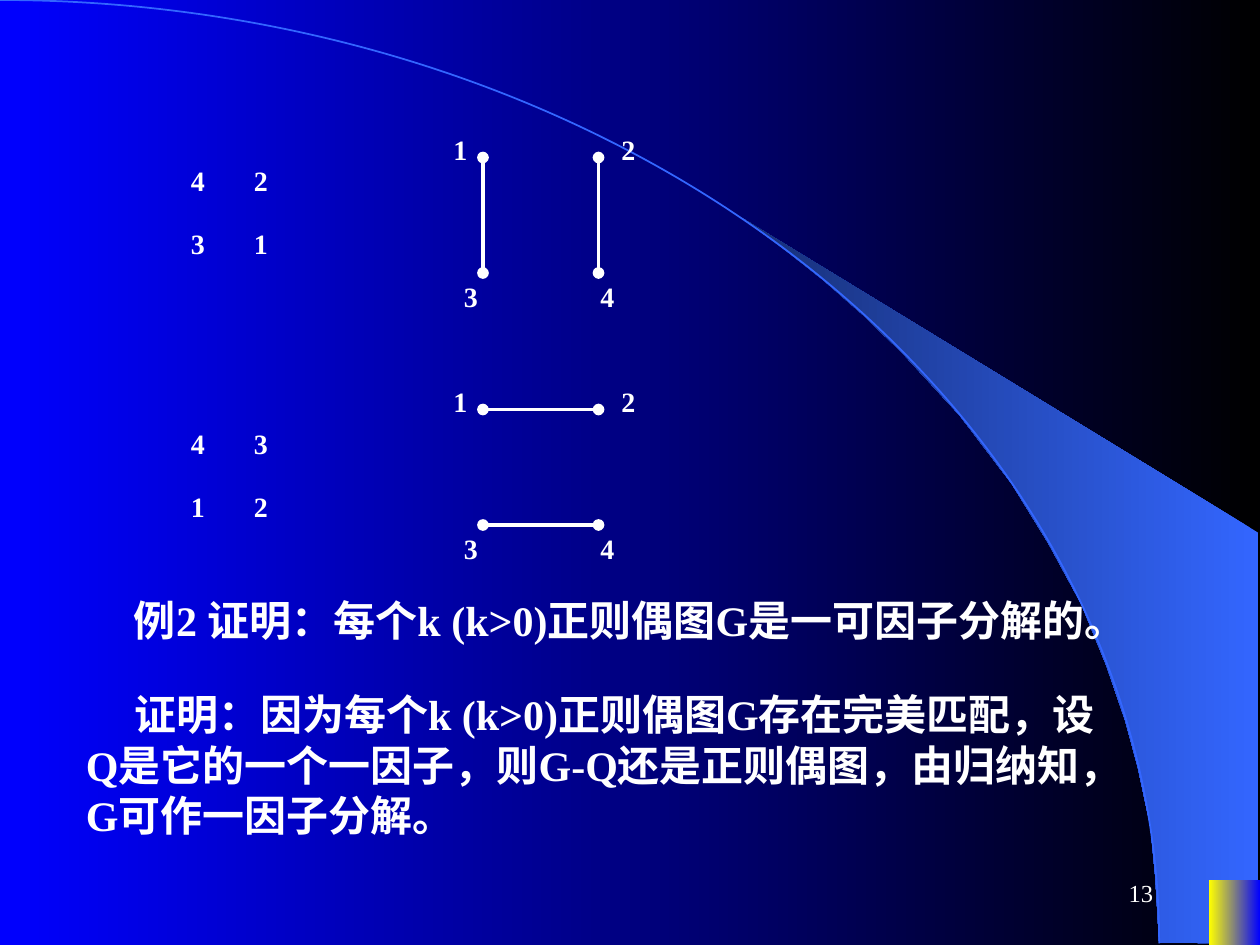
from dataclasses import dataclass

import pptx
import pptx.dml.color
import pptx.enum.shapes
import pptx.enum.text
import pptx.oxml
import pptx.oxml.ns
import pptx.util

Pt = pptx.util.Pt
Align = pptx.enum.text.PP_ALIGN
Shape = pptx.enum.shapes.MSO_SHAPE


@dataclass(frozen=True)
class Theme:
    font: str = "Times New Roman"
    white: str = "FFFFFF"
    black: str = "000000"
    blue: str = "0000FF"
    sky: str = "3366FF"
    navy: str = "172F75"
    yellow: str = "FFFF00"
    label_size: float = 16
    body_size: float = 24
    number_size: float = 14
    edge_width: float = 2.25
    arc_width: float = 1


@dataclass(frozen=True)
class Label:
    text: str
    left: float
    top: float


@dataclass(frozen=True)
class Edge:
    start: tuple[float, float]
    end: tuple[float, float]


@dataclass(frozen=True)
class Passage:
    text: str
    top: float
    width: float
    height: float


THEME = Theme()

# Graph corners and vertex names, relative to the top of a graph
LEFT, RIGHT, TOP, BOTTOM = 276, 342, 18, 84
VERTICES = [Label("1", 252, 0), Label("2", 348, 0), Label("3", 258, 84), Label("4", 336, 84)]
VERTICAL_EDGES = [Edge((x, TOP), (x, BOTTOM)) for x in (LEFT, RIGHT)]
HORIZONTAL_EDGES = [Edge((LEFT, y), (RIGHT, y)) for y in (TOP, BOTTOM)]

PASSAGES = [
    Passage("例2 证明：每个k (k>0)正则偶图G是一可因子分解的。", 336, 654, 36),
    Passage("证明：因为每个k (k>0)正则偶图G存在完美匹配，设Q是它的一个一因子，"
            "则G-Q还是正则偶图，由归纳知，G可作一因子分解。", 390, 600, 94),
]

# Outline of the light wedge beside the arc
WEDGE = [
    (662.4, 538.6), (719.3, 539.3), (719.3, 304.6), (424.1, 124.6), (449.3, 143.3),
    (470.2, 159.8), (493.2, 180), (515.5, 201.6), (548.6, 237.6), (578.2, 276.5),
    (599, 310.3), (617.8, 344.9), (632.2, 380.2), (643, 411.8), (650.2, 438.5),
    (657.4, 472.3), (660.2, 501.1),
]


def rgb(value: str) -> pptx.dml.color.RGBColor:
    return pptx.dml.color.RGBColor.from_string(value)


def fill_gradient(fill, right: str, left: str) -> None:
    fill.gradient()
    fill.gradient_angle = 180
    for stop, value in zip(fill.gradient_stops, (right, left)):
        stop.color.rgb = rgb(value)


def add_text(page, text: str, left: float, top: float, width: float, height: float,
             size: float, bold: bool = True, align=Align.LEFT, indent: float = 0):
    box = page.shapes.add_textbox(Pt(left), Pt(top), Pt(width), Pt(height))
    frame = box.text_frame
    frame.word_wrap = True
    para = frame.paragraphs[0]
    para.alignment = align
    if indent:
        para._p.get_or_add_pPr().set("indent", str(Pt(indent)))
    span = para.add_run()
    span.text = text
    span.font.name = THEME.font
    span.font.size = Pt(size)
    span.font.bold = bold
    span.font.color.rgb = rgb(THEME.white)
    return box


def add_label(page, label: Label, top: float = 0) -> None:
    add_text(page, label.text, label.left, top + label.top, 31, 27, THEME.label_size)


def add_edge(page, edge: Edge, top: float) -> None:
    (x1, y1), (x2, y2) = edge.start, edge.end
    line = page.shapes.add_connector(
        pptx.enum.shapes.MSO_CONNECTOR.STRAIGHT,
        Pt(x1), Pt(top + y1), Pt(x2), Pt(top + y2))
    line.line.color.rgb = rgb(THEME.white)
    line.line.width = Pt(THEME.edge_width)
    outline = line.line._get_or_add_ln()
    for tag in ("headEnd", "tailEnd"):
        outline.append(pptx.oxml.parse_xml(
            f'<a:{tag} {pptx.oxml.ns.nsdecls("a")} type="oval"/>'))
    line._element.spPr.append(pptx.oxml.parse_xml(
        f'<a:effectLst {pptx.oxml.ns.nsdecls("a")}/>'))


def add_graph(page, edges: list[Edge], top: float) -> None:
    for edge in edges:
        add_edge(page, edge, top)
    for vertex in VERTICES:
        add_label(page, vertex, top)


def add_number_square(page, rows: tuple[str, ...], top: float) -> None:
    for row, digits in enumerate(rows):
        for column, digit in enumerate(digits):
            add_label(page, Label(digit, 102 + 36 * column, top + 36 * row))


def add_backdrop(page) -> None:
    fill_gradient(page.background.fill, THEME.black, THEME.blue)

    # Wedge
    points = [(Pt(x), Pt(y)) for x, y in WEDGE]
    builder = page.shapes.build_freeform(*points[0], scale=1.0)
    builder.add_line_segments(points[1:], close=True)
    wedge = builder.convert_to_shape()
    wedge.shadow.inherit = False
    fill_gradient(wedge.fill, THEME.sky, THEME.navy)
    wedge.line.fill.background()

    # Quarter arc centred on the lower left corner
    arc = page.shapes.add_shape(Shape.ARC, Pt(-662.4), Pt(0), Pt(1324.8), Pt(1078))
    arc.shadow.inherit = False
    arc.fill.background()
    arc.line.color.rgb = rgb(THEME.sky)
    arc.line.width = Pt(THEME.arc_width)

    # Corner block
    corner = page.shapes.add_shape(Shape.RECTANGLE, Pt(691), Pt(503), Pt(29), Pt(37))
    corner.shadow.inherit = False
    fill_gradient(corner.fill, THEME.blue, THEME.yellow)
    corner.line.fill.background()


def main() -> None:
    deck = pptx.Presentation()
    deck.slide_width, deck.slide_height = Pt(720), Pt(540)
    page = deck.slides.add_slide(deck.slide_layouts[6])
    add_backdrop(page)

    # Two factors with their number squares
    add_graph(page, VERTICAL_EDGES, 72)
    add_number_square(page, ("42", "31"), 90)
    add_number_square(page, ("43", "12"), 240)
    add_graph(page, HORIZONTAL_EDGES, 216)

    # Statement and proof
    for passage in PASSAGES:
        add_text(page, passage.text, 42, passage.top, passage.width, passage.height,
                 THEME.body_size, indent=27.5)

    # Page number
    number = add_text(page, "13", 516, 492, 150, 36, THEME.number_size,
                      bold=False, align=Align.RIGHT)
    number.text_frame.vertical_anchor = pptx.enum.text.MSO_ANCHOR.MIDDLE

    deck.save("out.pptx")


if __name__ == "__main__":
    main()
